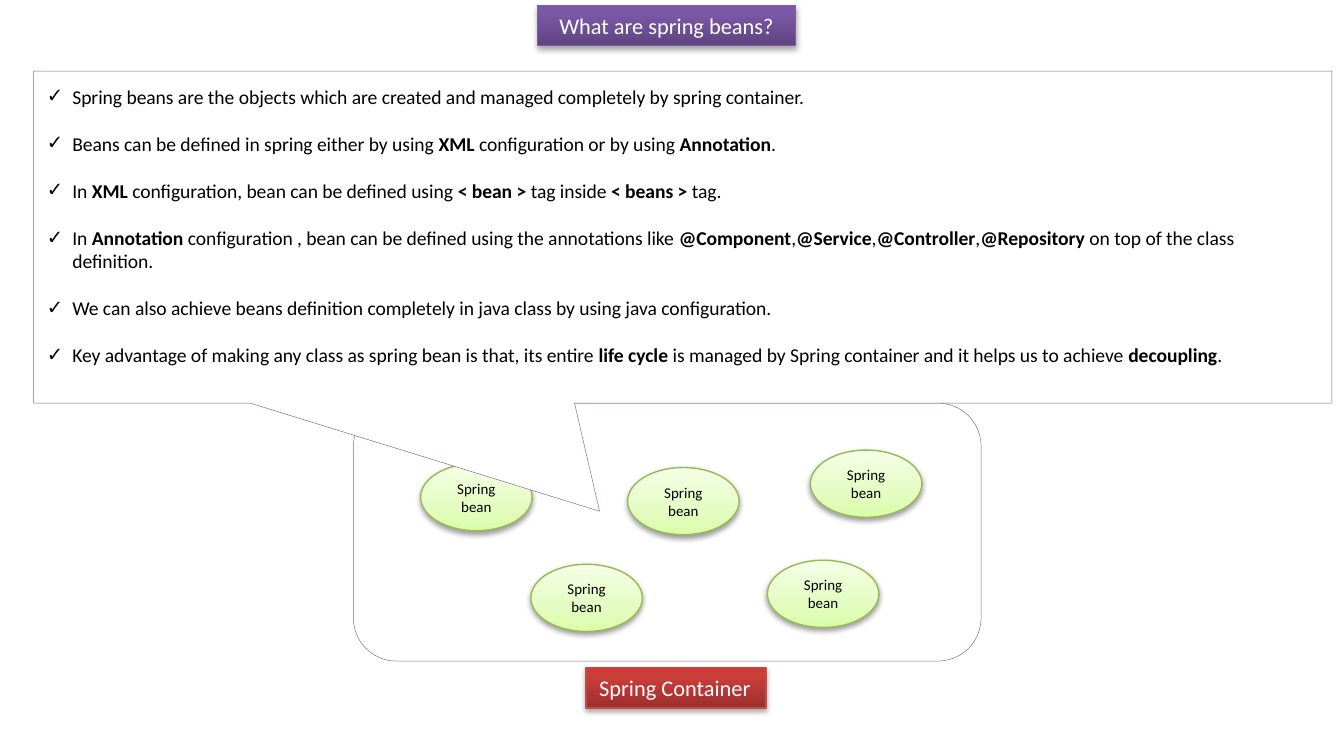
import pptx
import pptx.dml.color
import pptx.enum.shapes
import pptx.enum.text
import pptx.oxml.ns
import pptx.util
from lxml import etree

Inches = pptx.util.Inches
Pt = pptx.util.Pt
Shape = pptx.enum.shapes.MSO_SHAPE
Align = pptx.enum.text.PP_ALIGN
Anchor = pptx.enum.text.MSO_ANCHOR
qn = pptx.oxml.ns.qn

PURPLE = [(0, "5F4480"), (80, "7B58A6"), (100, "7C57A8")]
RED = [(0, "9C2F2D"), (80, "CB3E3A"), (100, "CE3B37")]
GREEN = [(0, "DAFDA7"), (35, "E4FCC2"), (100, "F5FFE7")]

BEANS = [(3.13, 3.45), (3.95, 4.2), (5.71, 4.17), (4.67, 3.48), (6.03, 3.35)]

FACTS = [
    "Spring beans are the objects which are created and managed completely by spring container.",
    "Beans can be defined in spring either by using *XML* configuration or by using *Annotation*.",
    "In *XML* configuration, bean can be defined using *< bean >* tag inside *< beans >* tag.",
    "In *Annotation* configuration , bean can be defined using the annotations like "
    "*@Component*,*@Service*,*@Controller*,*@Repository* on top of the class definition.",
    "We can also achieve beans definition completely in java class by using java configuration.",
    "Key advantage of making any class as spring bean is that, its entire *life cycle* is managed "
    "by Spring container and it helps us to achieve *decoupling*.",
]


def color(value):
    return pptx.dml.color.RGBColor.from_string(value)


class SlideBuilder:
    font = "Calibri"
    white = "FFFFFF"
    black = "000000"
    outline = "8064A2"

    def __init__(self, page):
        self.page = page

    def shape(self, kind, left, top, width, height, line, weight):
        shape = self.page.shapes.add_shape(
            kind, Inches(left), Inches(top), Inches(width), Inches(height))
        shape.shadow.inherit = False
        shape.line.color.rgb = color(line)
        shape.line.width = Pt(weight)
        return shape

    def panel(self, kind, left, top, width, height):
        shape = self.shape(kind, left, top, width, height, self.outline, 0.25)
        shape.fill.solid()
        shape.fill.fore_color.rgb = color(self.white)
        return shape

    def gradient(self, shape, stops):
        shape.fill.gradient()
        shape.fill.gradient_angle = 90
        stop_list = shape.element.spPr.find(qn("a:gradFill")).find(qn("a:gsLst"))
        for stop in list(stop_list):
            stop_list.remove(stop)
        for position, value in stops:
            stop = etree.SubElement(stop_list, qn("a:gs"), pos=str(position * 1000))
            etree.SubElement(stop, qn("a:srgbClr"), val=value)

    def shadow(self, shape, distance, opacity):
        effects = shape.element.spPr.find(qn("a:effectLst"))
        shadow = etree.SubElement(
            effects, qn("a:outerShdw"), blurRad=str(Pt(3.1)), dist=str(Pt(distance)),
            dir="5400000", rotWithShape="0")
        tint = etree.SubElement(shadow, qn("a:srgbClr"), val=self.black)
        etree.SubElement(tint, qn("a:alpha"), val=str(opacity * 1000))

    def style(self, paragraph, size, value, align):
        paragraph.alignment = align
        for span in paragraph.runs:
            span.font.name = self.font
            span.font.size = Pt(size)
            span.font.color.rgb = color(value)

    def label(self, text, left, top, width, stops, line, align, wrap):
        box = self.shape(Shape.RECTANGLE, left, top, width, 0.3, line, 0.75)
        self.gradient(box, stops)
        self.shadow(box, 1.8, 35)
        frame = box.text_frame
        frame.text = text
        frame.word_wrap = wrap
        frame.vertical_anchor = Anchor.TOP
        self.style(frame.paragraphs[0], 12, self.white, align)

    def bean(self, left, top):
        oval = self.shape(Shape.OVAL, left, top, 0.83, 0.5, "98B955", 0.75)
        self.gradient(oval, GREEN)
        self.shadow(oval, 1.6, 38)
        frame = oval.text_frame
        frame.text = "Spring bean"
        frame.word_wrap = True
        frame.vertical_anchor = Anchor.MIDDLE
        self.style(frame.paragraphs[0], 8, self.black, Align.CENTER)

    def bullet(self, paragraph, text):
        properties = paragraph._p.get_or_add_pPr()
        properties.set("marL", str(Inches(0.19)))
        properties.set("indent", str(-Inches(0.19)))
        etree.SubElement(properties, qn("a:buFont"), typeface=self.font)
        etree.SubElement(properties, qn("a:buChar"), char="✓")
        for index, part in enumerate(text.split("*")):
            span = paragraph.add_run()
            span.text = part
            span.font.bold = index % 2 == 1
        self.style(paragraph, 10.5, self.black, Align.LEFT)

    def callout(self, facts):
        box = self.panel(Shape.RECTANGULAR_CALLOUT, 0.25, 0.53, 9.66, 2.47)
        box.adjustments[0] = -0.064
        box.adjustments[1] = 0.826
        frame = box.text_frame
        frame.word_wrap = True
        frame.vertical_anchor = Anchor.TOP
        frame.margin_top = Inches(0.1)
        for index, fact in enumerate(facts):
            paragraph = frame.add_paragraph() if index else frame.paragraphs[0]
            if index:
                paragraph.space_before = Pt(12.6)
            self.bullet(paragraph, fact)


def main():
    deck = pptx.Presentation()
    deck.slide_width = Inches(10)
    deck.slide_height = Inches(5.5)
    builder = SlideBuilder(deck.slides.add_slide(deck.slide_layouts[6]))
    builder.label("What are spring beans?", 4, 0.04, 1.92, PURPLE, "7D60A0", Align.CENTER, True)
    builder.panel(Shape.ROUNDED_RECTANGLE, 2.63, 3, 4.67, 1.92)
    builder.label("Spring Container", 4.36, 4.97, 1.34, RED, "BF4C48", Align.LEFT, False)
    for left, top in BEANS:
        builder.bean(left, top)
    builder.callout(FACTS)
    deck.save("out.pptx")


if __name__ == "__main__":
    main()
